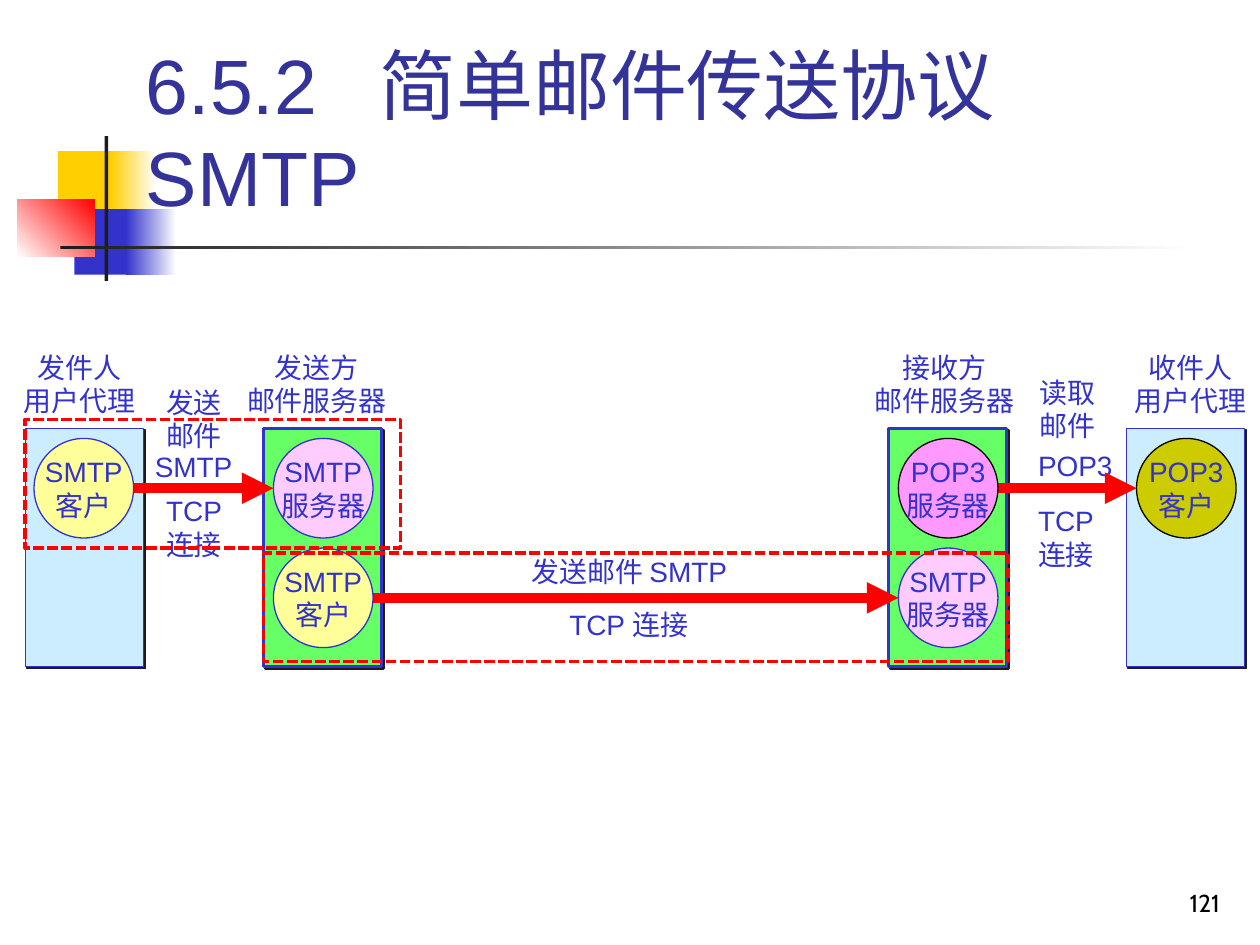
from lxml import etree
from pptx import Presentation
from pptx.dml.color import RGBColor
from pptx.enum.dml import MSO_LINE_DASH_STYLE as Dash
from pptx.enum.shapes import MSO_CONNECTOR as Connector, MSO_SHAPE as Shape
from pptx.enum.text import MSO_ANCHOR as Anchor, MSO_AUTO_SIZE as AutoSize, PP_ALIGN as Align
from pptx.oxml import parse_xml
from pptx.oxml.ns import nsdecls, qn
from pptx.util import Inches, Pt

BLUE, BLACK, RED = "3333CC", "000000", "FF0000"
DARK, WHITE, GOLD = "1C1C1C", "FFFFFF", "FFCF01"
CLIENT, SERVER = "FFFF99", "FFCCFF"
CIRCLE = 0.79
SLACK = 0.1  # spare label width that keeps each line whole
UPPER, LOWER = 3.48, 4.35  # tops of the two rows of circles
SENDER, SEND_SERVER, RECEIVE_SERVER, RECEIVER = 0.27, 2.17, 7.13, 9.02


def color(value):
    return RGBColor.from_string(value)


def write(frame, lines, align=Align.LEFT, size=16, font="Arial", ink=BLUE):
    for index, line in enumerate(lines):
        para = frame.paragraphs[0] if index == 0 else frame.add_paragraph()
        para.alignment = align
        span = para.add_run()
        span.text = line
        span.font.size = Pt(size)
        span.font.name = font
        span.font.color.rgb = color(ink)


def add_shape(page, kind, at, fill=None, line=None, width=0.75):
    shape = page.shapes.add_shape(kind, *map(Inches, at))
    shape.shadow.inherit = False
    if fill:
        shape.fill.solid()
        shape.fill.fore_color.rgb = color(fill)
    else:
        shape.fill.background()
    if line:
        shape.line.color.rgb = color(line)
        shape.line.width = Pt(width)
    else:
        shape.line.fill.background()
    return shape


def add_gradient(page, at, start, end, angle=0):
    shape = add_shape(page, Shape.RECTANGLE, at)
    shape.fill.gradient()
    shape.fill.gradient_angle = angle
    for stop, position, value in zip(shape.fill.gradient_stops, (0, 1), (start, end)):
        stop.position = position
        stop.color.rgb = color(value)


def add_host(page, left, fill, width):
    host = add_shape(page, Shape.RECTANGLE, (left, 3.4, 0.94, 1.89), fill, BLUE, width)
    effects = host._element.spPr.find(qn("a:effectLst"))
    effects.append(parse_xml(
        f'<a:outerShdw {nsdecls("a")} dist="17780" dir="2700000" algn="ctr" rotWithShape="0">'
        f'<a:srgbClr val="{DARK}"/></a:outerShdw>'))


def add_label(page, at, lines, align=Align.LEFT):
    left, top, width, height = at
    if align == Align.CENTER:
        left -= SLACK / 2
    box = page.shapes.add_textbox(
        Inches(left), Inches(top), Inches(width + SLACK), Inches(height))
    box.text_frame.word_wrap = True
    box.text_frame.auto_size = AutoSize.NONE
    write(box.text_frame, lines, align)


def add_circle(page, left, top, lines, fill, line=BLUE):
    circle = add_shape(page, Shape.OVAL, (left, top, CIRCLE, CIRCLE), fill, line)
    circle.text_frame.word_wrap = False
    circle.text_frame.vertical_anchor = Anchor.MIDDLE
    write(circle.text_frame, lines, Align.CENTER)


def add_arrow(page, start, end, y):
    arrow = page.shapes.add_connector(
        Connector.STRAIGHT, Inches(start), Inches(y), Inches(end), Inches(y))
    arrow.line.color.rgb = color(RED)
    arrow.line.width = Pt(6)
    etree.SubElement(arrow.line._get_or_add_ln(), qn("a:tailEnd"), type="triangle")
    etree.SubElement(arrow._element.spPr, qn("a:effectLst"))


def add_dashed_frame(page, at):
    frame = add_shape(page, Shape.RECTANGLE, at, line=RED, width=2)
    frame.line.dash_style = Dash.SQUARE_DOT


def add_ornament(page):
    add_shape(page, Shape.RECTANGLE, (0.46, 1.2, 0.48, 0.52), GOLD)
    add_gradient(page, (0.88, 1.2, 0.36, 0.52), GOLD, WHITE)
    add_shape(page, Shape.RECTANGLE, (0.59, 1.66, 0.46, 0.52), BLUE)
    add_gradient(page, (1, 1.66, 0.4, 0.52), BLUE, WHITE)
    add_gradient(page, (0.14, 1.58, 0.61, 0.46), WHITE, RED, 45)
    add_shape(page, Shape.RECTANGLE, (0.83, 1.08, 0.03, 1.15), DARK)
    add_gradient(page, (0.48, 1.95, 9, 0.03), DARK, WHITE)


def add_title(page):
    box = page.shapes.add_textbox(Inches(1.06), Inches(0.21), Inches(8.82), Inches(1.6))
    frame = box.text_frame
    frame.word_wrap = True
    frame.vertical_anchor = Anchor.BOTTOM
    frame.margin_right = Inches(0.4)
    # Tab stop between the section number and its name
    tabs = etree.SubElement(frame.paragraphs[0]._p.get_or_add_pPr(), qn("a:tabLst"))
    etree.SubElement(tabs, qn("a:tab"), pos=str(Inches(1.85)), algn="l")
    write(frame, ["6.5.2\t简单邮件传送协议 SMTP"], size=44, ink="333399")


def add_page_number(page):
    box = page.shapes.add_textbox(Inches(7.7), Inches(6.83), Inches(2.08), Inches(0.5))
    box.text_frame.word_wrap = True
    box.text_frame.vertical_anchor = Anchor.BOTTOM
    write(box.text_frame, ["121"], Align.RIGHT, 14, "Cabin", BLACK)


def main():
    deck = Presentation()
    deck.slide_width, deck.slide_height = Inches(10), Inches(7.5)
    page = deck.slides.add_slide(deck.slide_layouts[6])

    add_ornament(page)
    add_title(page)
    add_page_number(page)

    # Hosts and their headings
    hosts = [
        (0.2, "CCECFF", 0.75, 0.09, 1.08, ["发件人", "用户代理"]),
        (2.09, "66FF66", 1.5, 1.86, 1.31, ["发送方", "邮件服务器"]),
        (7.05, "66FF66", 1.5, 6.84, 1.31, ["接收方", "邮件服务器"]),
        (8.94, "CCECFF", 0.75, 8.91, 1.08, ["收件人", "用户代理"]),
    ]
    for left, fill, line_width, label_left, label_width, lines in hosts:
        add_host(page, left, fill, line_width)
        add_label(page, (label_left, 2.73, label_width, 0.64), lines, Align.CENTER)

    # Labels of the transfers
    add_label(page, (1.22, 3.01, 0.64, 0.64), ["发送", "邮件"], Align.CENTER)
    add_label(page, (1.13, 3.52, 0.81, 0.37), ["SMTP"])
    add_label(page, (1.22, 3.87, 0.64, 0.64), ["TCP", "连接"])
    add_label(page, (4.12, 4.35, 1.8, 0.37), ["发送邮件 SMTP"])
    add_label(page, (4.42, 4.77, 1.2, 0.37), ["TCP 连接"])
    add_label(page, (8.15, 2.93, 0.64, 0.64), ["读取", "邮件"])
    add_label(page, (8.14, 3.51, 0.79, 0.37), ["POP3"])
    add_label(page, (8.14, 3.95, 0.64, 0.64), ["TCP", "连接"])

    # Transfers run between the circles
    for source, target, top in [(SENDER, SEND_SERVER, UPPER),
                                (SEND_SERVER, RECEIVE_SERVER, LOWER),
                                (RECEIVE_SERVER, RECEIVER, UPPER)]:
        add_arrow(page, source + CIRCLE, target, top + CIRCLE / 2)

    # Client and server processes
    add_circle(page, SENDER, UPPER, ["SMTP", "客户"], CLIENT)
    add_circle(page, SEND_SERVER, UPPER, ["SMTP", "服务器"], SERVER)
    add_circle(page, SEND_SERVER, LOWER, ["SMTP", "客户"], CLIENT)
    add_circle(page, RECEIVE_SERVER, LOWER, ["SMTP", "服务器"], SERVER)
    add_circle(page, RECEIVE_SERVER, UPPER, ["POP3", "服务器"], "FF99FF", BLACK)
    add_circle(page, RECEIVER, UPPER, ["POP3", "客户"], "CCCC00", BLACK)

    # Frames around the two SMTP transfers
    add_dashed_frame(page, (0.2, 3.33, 2.98, 1.02))
    add_dashed_frame(page, (2.09, 4.39, 5.91, 0.86))

    deck.save("out.pptx")


if __name__ == "__main__":
    main()
